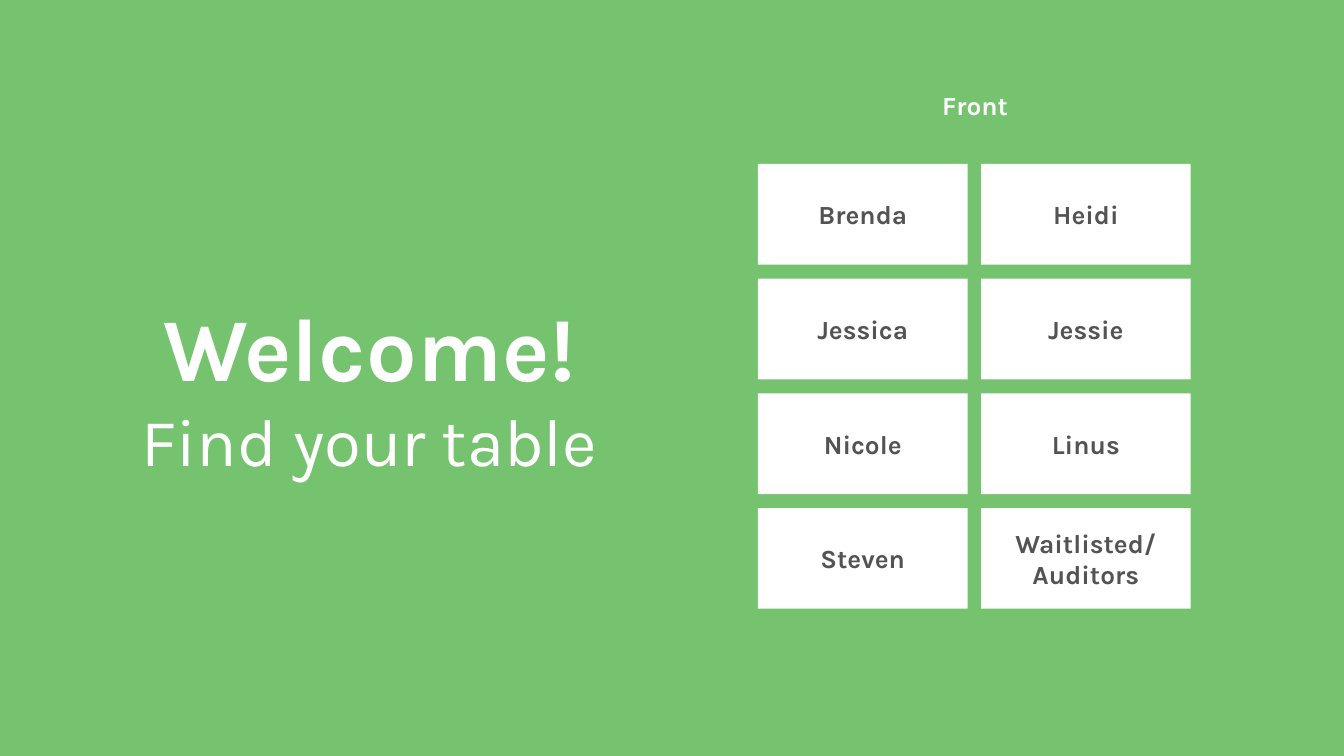
"""Build the welcome slide with its seating plan."""
from pptx import Presentation
from pptx.dml.color import RGBColor
from pptx.enum.shapes import MSO_SHAPE
from pptx.enum.text import MSO_ANCHOR, PP_ALIGN
from pptx.util import Inches, Pt

COLORS = {"green": "75C36E", "white": "FFFFFF", "gray": "535353"}
TABLES = [
    ("Brenda", "Heidi"),
    ("Jessica", "Jessie"),
    ("Nicole", "Linus"),
    ("Steven", "Waitlisted/\nAuditors"),
]
LEFT, TOP, WIDTH, HEIGHT = 5.64, 1.22, 1.56, 0.75
COLUMN_STEP = WIDTH + 0.1
ROW_STEP = (3.78 - TOP) / (len(TABLES) - 1)


def write(shape, text, styles, color, anchor=MSO_ANCHOR.MIDDLE):
    """Fill a shape with centred text, cycling through (size, bold) styles."""
    frame = shape.text_frame
    frame.text = text
    frame.word_wrap = True
    frame.vertical_anchor = anchor
    frame.margin_left = frame.margin_right = Inches(0.1)
    frame.margin_top = frame.margin_bottom = Inches(0.1)
    for index, paragraph in enumerate(frame.paragraphs):
        paragraph.alignment = PP_ALIGN.CENTER
        size, bold = styles[index % len(styles)]
        for run in paragraph.runs:
            run.font.name = "Karla"
            run.font.size = Pt(size)
            run.font.bold = bold
            run.font.color.rgb = RGBColor.from_string(COLORS[color])


prs = Presentation()
prs.slide_width = Inches(10)
prs.slide_height = Inches(10 * 9 / 16)
slide = prs.slides.add_slide(prs.slide_layouts[6])
slide.background.fill.solid()
slide.background.fill.fore_color.rgb = RGBColor.from_string(COLORS["green"])

welcome = slide.shapes.add_textbox(Inches(0.55), Inches(1.12), Inches(4.4), Inches(3.5))
write(welcome, "Welcome!\nFind your table", [(48, True), (36, False)], "white")

front = slide.shapes.add_textbox(Inches(6.13), Inches(0.5), Inches(2.25), Inches(0.5))
write(front, "Front", [(14, True)], "white", MSO_ANCHOR.BOTTOM)

for row, names in enumerate(TABLES):
    for column, name in enumerate(names):
        seat = slide.shapes.add_shape(
            MSO_SHAPE.RECTANGLE,
            Inches(LEFT + column * COLUMN_STEP),
            Inches(TOP + row * ROW_STEP),
            Inches(WIDTH),
            Inches(HEIGHT),
        )
        seat.shadow.inherit = False
        seat.fill.solid()
        seat.fill.fore_color.rgb = RGBColor.from_string(COLORS["white"])
        seat.line.fill.background()
        write(seat, name, [(14, True)], "gray")

prs.save("out.pptx")
